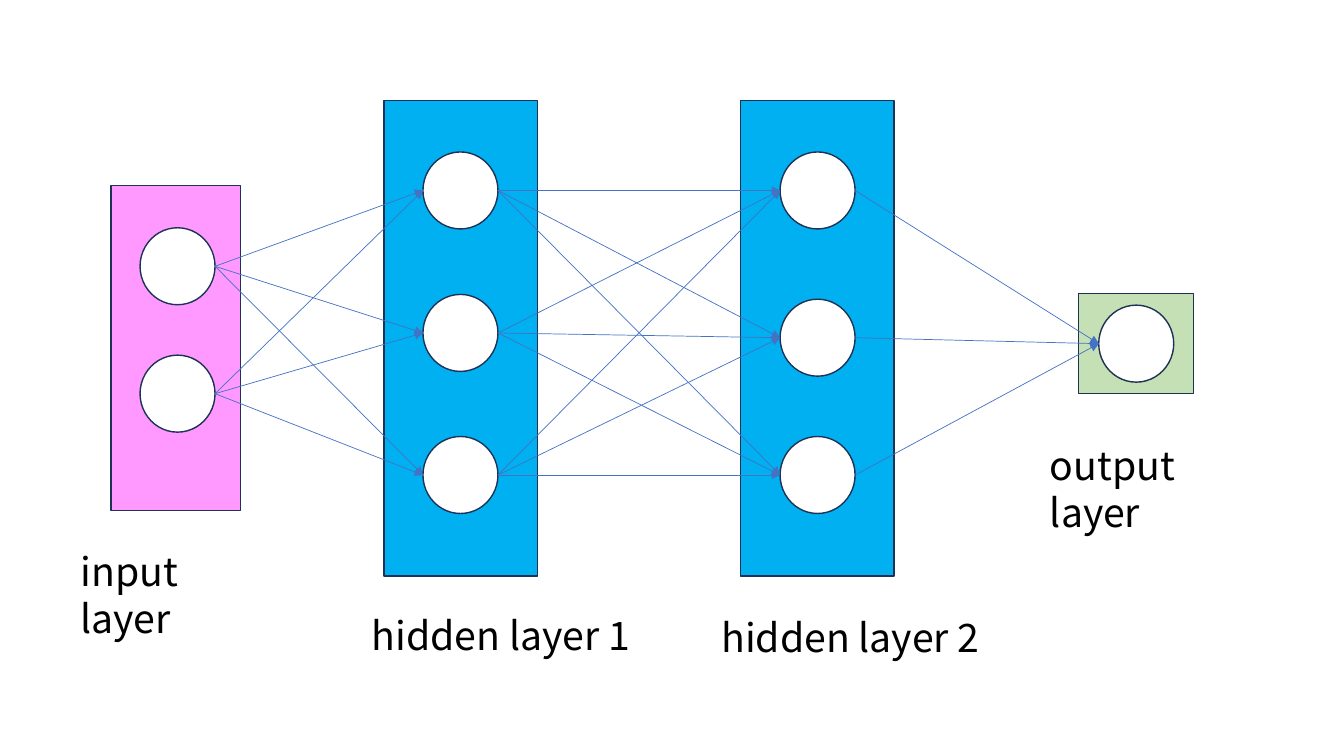
from itertools import pairwise, product

from lxml.etree import SubElement
from pptx import Presentation
from pptx.dml.color import RGBColor
from pptx.enum.shapes import MSO_CONNECTOR as Link, MSO_SHAPE as Shape
from pptx.enum.text import MSO_ANCHOR as Anchor, PP_ALIGN as Align
from pptx.oxml.ns import qn
from pptx.util import Cm, Pt


def color(value):
    return RGBColor.from_string(value)


def add_figure(kind, left, top, width, height, fill):
    figure = slide.shapes.add_shape(kind, Cm(left), Cm(top), Cm(width), Cm(height))
    figure.shadow.inherit = False
    figure.fill.solid()
    figure.fill.fore_color.rgb = color(fill)
    figure.line.color.rgb = color("1E3256")
    figure.line.width = Pt(1)


deck = Presentation()
deck.slide_width, deck.slide_height = Cm(33.87), Cm(19.05)
slide = deck.slides.add_slide(deck.slide_layouts[6])

layers = [
    {"panel": (2.8, 4.68, 3.27, 8.18), "fill": "FF99FF",
     "node_left": 3.53, "node_tops": (5.74, 8.95),
     "label": "input layer", "label_box": (1.78, 13.67, 4.9)},
    {"panel": (9.68, 2.54, 3.87, 11.98), "fill": "00B0F0",
     "node_left": 10.66, "node_tops": (3.83, 7.42, 11),
     "label": "hidden layer 1", "label_box": (9.12, 15.29, 7.2)},
    {"panel": (18.66, 2.54, 3.87, 11.98), "fill": "00B0F0",
     "node_left": 19.66, "node_tops": (3.83, 7.54, 11),
     "label": "hidden layer 2", "label_box": (17.93, 15.32, 7.2)},
    {"panel": (27.18, 7.39, 2.9, 2.53), "fill": "C5E0B4",
     "node_left": 27.69, "node_tops": (7.69,),
     "label": "output layer", "label_box": (26.21, 11, 5.6)},
]
node_width, node_height = 1.89, 1.94
label_font = {"name": "Noto Sans CJK KR", "size": Pt(28)}

for layer in layers:
    add_figure(Shape.RECTANGLE, *layer["panel"], layer["fill"])
    for top in layer["node_tops"]:
        add_figure(Shape.OVAL, layer["node_left"], top, node_width, node_height, "FFFFFF")

    left, top, width = layer["label_box"]
    label = slide.shapes.add_textbox(Cm(left), Cm(top), Cm(width), Cm(1.45)).text_frame
    label.word_wrap = True
    label.vertical_anchor = Anchor.TOP
    label.text = layer["label"]
    line = label.paragraphs[0]
    line.alignment = Align.LEFT
    line.line_spacing = Pt(33.6)
    font = line.runs[0].font
    for attribute, value in label_font.items():
        setattr(font, attribute, value)
    font.color.rgb = color("000000")

for source, target in pairwise(layers):
    for start, end in product(source["node_tops"], target["node_tops"]):
        weight = slide.shapes.add_connector(
            Link.STRAIGHT,
            Cm(source["node_left"] + node_width), Cm(start + node_height / 2),
            Cm(target["node_left"]), Cm(end + node_height / 2))
        weight.line.color.rgb = color("4472C4")
        weight.line.width = Pt(0.5)
        SubElement(weight.line._get_or_add_ln(), qn("a:tailEnd"), type="triangle")
        SubElement(weight._element.spPr, qn("a:effectLst"))

deck.save("out.pptx")
